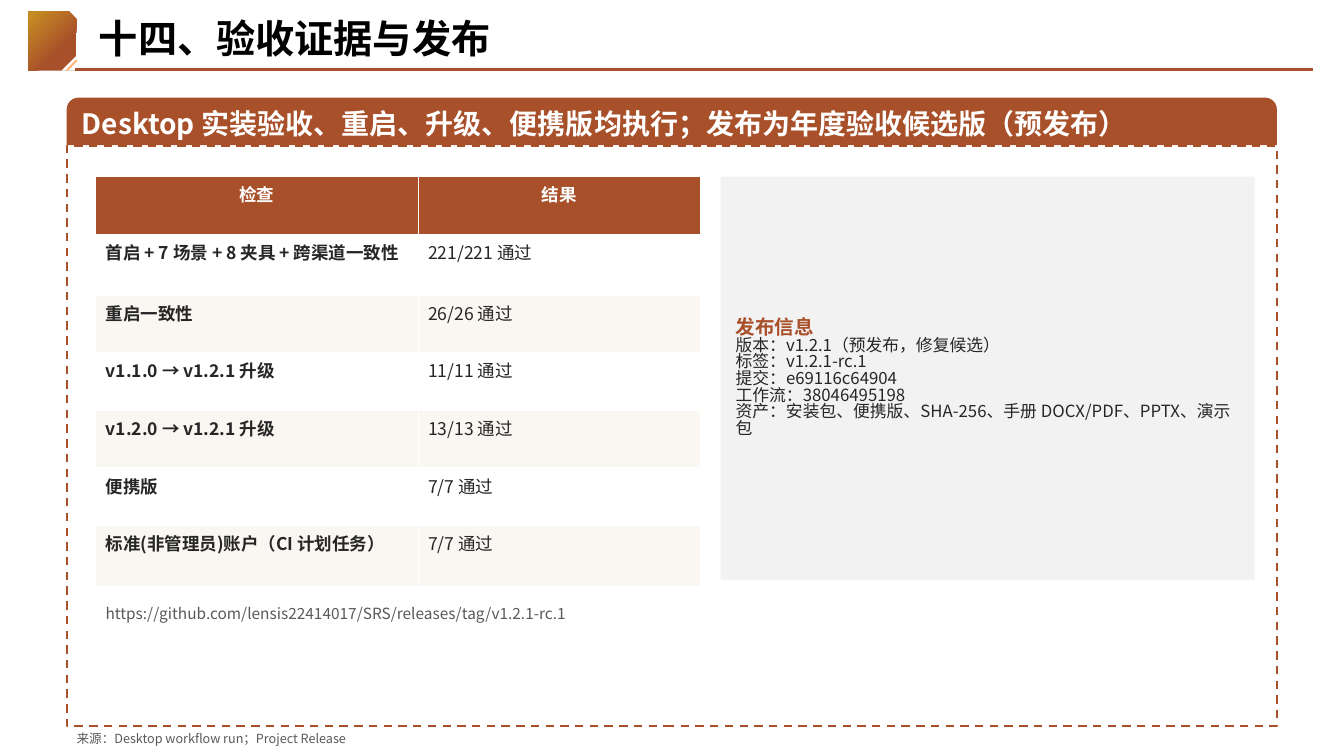
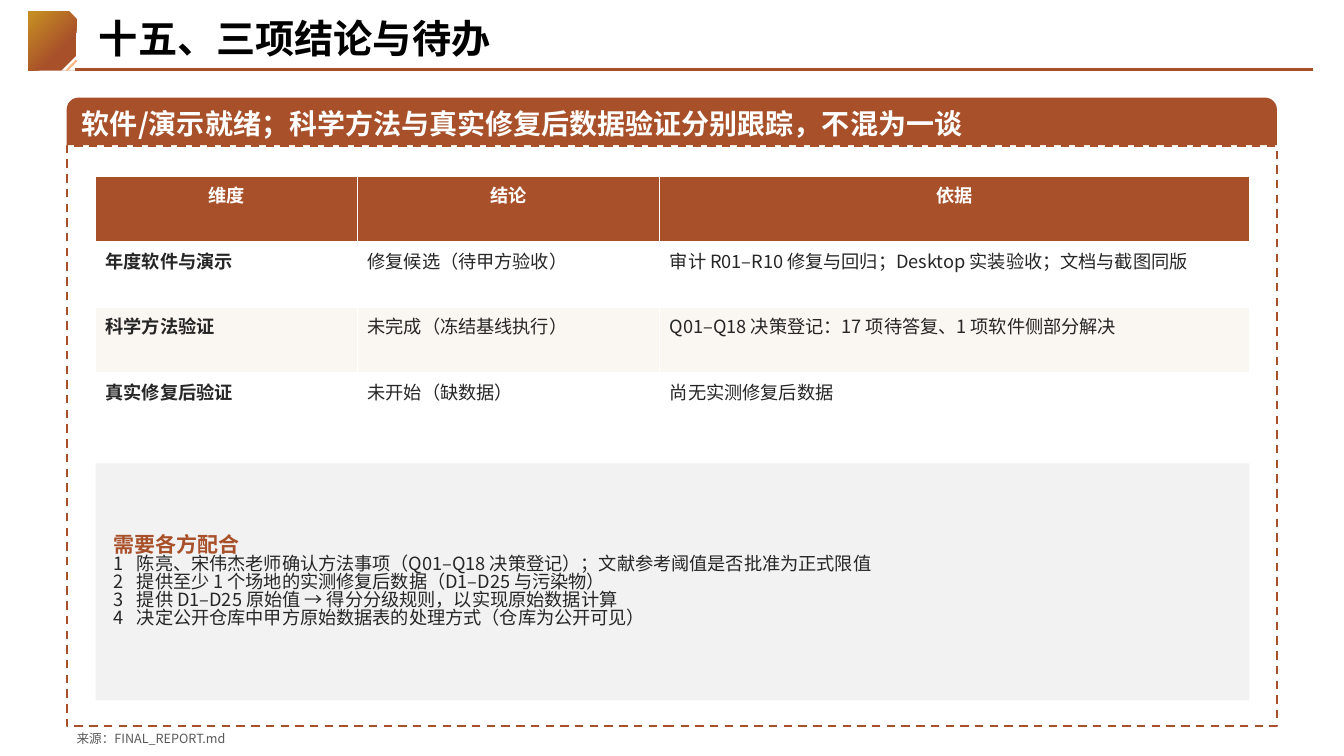
from dataclasses import dataclass

from lxml.etree import SubElement as Sub
from pptx import Presentation
from pptx.dml.color import RGBColor
from pptx.enum.dml import MSO_LINE as Dash
from pptx.enum.shapes import MSO_CONNECTOR as Link, MSO_SHAPE as Geo
from pptx.enum.text import MSO_ANCHOR as Anchor, MSO_AUTO_SIZE as Fit, PP_ALIGN as Align
from pptx.oxml.ns import qn
from pptx.util import Cm, Pt

FONT = "Noto Sans CJK SC"
RUST, GOLD, PEACH = "A8502A", "C58C23", "FFB57D"
WHITE, CREAM, PALE = "FFFFFF", "FAF6F1", "F2F2F2"
BLACK, INK, GRAY = "000000", "262626", "595959"
LEFT, TOP = 2.41, 4.45


@dataclass(frozen=True)
class Box:
    left: float
    top: float
    width: float
    height: float

    def spans(self) -> tuple:
        return Cm(self.left), Cm(self.top), Cm(self.width), Cm(self.height)


@dataclass(frozen=True)
class Grid:
    cols: tuple[float, ...]
    height: float
    size: float
    rows: tuple[tuple[str, ...], ...]


@dataclass(frozen=True)
class Panel:
    box: Box
    inset: float
    size: float
    head: str
    lines: tuple[str, ...]
    numbered: bool = False


@dataclass(frozen=True)
class Page:
    title: str
    claim: str
    source: str
    grid: Grid
    panel: Panel
    url: str = ""


def color(code: str) -> RGBColor:
    return RGBColor.from_string(code)


def apply(item, **values) -> None:
    for name, value in values.items():
        setattr(item, name, value)


def write(para, text: str, size: float, code: str, bold: bool = False) -> None:
    run = para.add_run()
    run.text = text
    apply(run.font, name=FONT, size=Pt(size), bold=bold)
    run.font.color.rgb = color(code)
    Sub(run._r.get_or_add_rPr(), qn("a:ea"), typeface=FONT)


def number(para, hang: float = 0.58) -> None:
    """Number the paragraph automatically, with a hanging indent in cm."""
    props = para._p.get_or_add_pPr()
    props.set("marL", str(Cm(hang)))
    props.set("indent", str(-Cm(hang)))
    Sub(props, qn("a:buAutoNum"), type="arabicPlain")


def shape(slide, geo: Geo, box: Box, fill: str = ""):
    item = slide.shapes.add_shape(geo, *box.spans())
    item.shadow.inherit = False
    item.line.fill.background()
    if fill:
        item.fill.solid()
        item.fill.fore_color.rgb = color(fill)
    else:
        item.fill.background()
    return item


def pad(item, inset: float):
    """Set equal insets and middle anchoring, and return the text frame."""
    frame = item.text_frame
    apply(frame, word_wrap=True, vertical_anchor=Anchor.MIDDLE)
    sides = ("left", "top", "right", "bottom")
    apply(frame, **{f"margin_{side}": Cm(inset) for side in sides})
    return frame


def rule(slide, start: tuple[float, float], end: tuple[float, float], code: str) -> None:
    line = slide.shapes.add_connector(Link.STRAIGHT, *map(Cm, start + end))
    line.line.color.rgb = color(code)
    line.line.width = Pt(1.5)
    Sub(line._element.spPr, qn("a:effectLst"))


def label(slide, box: Box, text: str, size: float) -> None:
    frame = slide.shapes.add_textbox(*box.spans()).text_frame
    frame.word_wrap = True
    write(frame.paragraphs[0], text, size, GRAY)


def badge(slide) -> None:
    tile = shape(slide, Geo.SNIP_1_RECTANGLE, Box(0.71, 0.28, 1.22, 1.5))
    tile.fill.gradient()
    tile.fill.gradient_angle = 135
    for stop, place, code in zip(tile.fill.gradient_stops, (0.33, 0.94), (RUST, GOLD)):
        stop.position = place
        stop.color.rgb = color(code)
    fold = shape(slide, Geo.RIGHT_TRIANGLE, Box(1.55, 1.4, 0.38, 0.38), WHITE)
    fold.rotation = 270
    rule(slide, (1.68, 1.78), (1.93, 1.52), PEACH)
    rule(slide, (1.9, 1.75), (33.1, 1.75), RUST)


def header(slide, text: str) -> None:
    title = slide.shapes.title
    spots = ("left", "top", "width", "height")
    apply(title, **dict(zip(spots, Box(2.24, 0.23, 30.6, 1.52).spans())))
    frame = title.text_frame
    apply(frame, auto_size=Fit.NONE, word_wrap=True, vertical_anchor=Anchor.TOP)
    frame.paragraphs[0].alignment = Align.LEFT
    write(frame.paragraphs[0], text, 28, BLACK, True)


def banner(slide, claim: str) -> None:
    """Draw the dashed frame and the claim band on top of it."""
    edge = shape(slide, Geo.RECTANGLE, Box(1.68, 3.68, 30.5, 14.61)).line
    edge.color.rgb = color(RUST)
    apply(edge, width=Pt(1.5), dash_style=Dash.DASH)
    band = shape(slide, Geo.ROUND_2_SAME_RECTANGLE, Box(1.68, 2.46, 30.5, 1.2), RUST)
    band.adjustments[0], band.adjustments[1] = 0.25, 0
    para = pad(band, 0.3).paragraphs[0]
    para.alignment = Align.LEFT
    write(para, claim, 20, WHITE, True)


def border(cell) -> None:
    props = cell._tc.get_or_add_tcPr()
    for side in ("lnL", "lnR", "lnT", "lnB"):
        line = Sub(props, qn(f"a:{side}"), w=str(Pt(1)))
        Sub(Sub(line, qn("a:solidFill")), qn("a:srgbClr"), val=WHITE)


def table(slide, grid: Grid) -> None:
    box = Box(LEFT, TOP, sum(grid.cols), grid.height)
    count = len(grid.rows)
    tab = slide.shapes.add_table(count, len(grid.cols), *box.spans()).table
    tab.horz_banding = False
    for col, width in zip(tab.columns, grid.cols):
        col.width = Cm(width)
    for r, row in enumerate(grid.rows):
        tab.rows[r].height = Cm(grid.height / count)
        fill = RUST if r == 0 else WHITE if r % 2 else CREAM
        for c, text in enumerate(row):
            cell = tab.cell(r, c)
            border(cell)
            cell.fill.solid()
            cell.fill.fore_color.rgb = color(fill)
            para = cell.text_frame.paragraphs[0]
            para.alignment = Align.LEFT if r else Align.CENTER
            write(para, text, grid.size, INK if r else WHITE, r == 0 or c == 0)


def notice(slide, panel: Panel) -> None:
    frame = pad(shape(slide, Geo.RECTANGLE, panel.box, PALE), panel.inset)
    for i, text in enumerate((panel.head, *panel.lines)):
        para = frame.add_paragraph() if i else frame.paragraphs[0]
        apply(para, alignment=Align.LEFT, line_spacing=0.82)
        if i and panel.numbered:
            number(para)
        write(para, text, panel.size if i else panel.size + 2,
              INK if i else RUST, i == 0)


PAGES = (
    Page(
        "十四、验收证据与发布",
        "Desktop 实装验收、重启、升级、便携版均执行；发布为年度验收候选版（预发布）",
        "来源：Desktop workflow run；Project Release",
        Grid((8.13, 7.11), 10.16, 12.5, (
            ("检查", "结果"),
            ("首启 + 7 场景 + 8 夹具 + 跨渠道一致性", "221/221 通过"),
            ("重启一致性", "26/26 通过"),
            ("v1.1.0 → v1.2.1 升级", "11/11 通过"),
            ("v1.2.0 → v1.2.1 升级", "13/13 通过"),
            ("便携版", "7/7 通过"),
            ("标准(非管理员)账户（CI 计划任务）", "7/7 通过"),
        )),
        Panel(Box(18.16, TOP, 13.46, 10.16), 0.38, 12, "发布信息", (
            "版本：v1.2.1（预发布，修复候选）",
            "标签：v1.2.1-rc.1",
            "提交：e69116c64904",
            "工作流：38046495198",
            "资产：安装包、便携版、SHA-256、手册 DOCX/PDF、PPTX、演示包",
        )),
        "https://github.com/lensis22414017/SRS/releases/tag/v1.2.1-rc.1",
    ),
    Page(
        "十五、三项结论与待办",
        "软件/演示就绪；科学方法与真实修复后数据验证分别跟踪，不混为一谈",
        "来源：FINAL_REPORT.md",
        Grid((6.6, 7.62, 14.86), 6.6, 13, (
            ("维度", "结论", "依据"),
            ("年度软件与演示", "修复候选（待甲方验收）",
             "审计 R01–R10 修复与回归；Desktop 实装验收；文档与截图同版"),
            ("科学方法验证", "未完成（冻结基线执行）",
             "Q01–Q18 决策登记：17 项待答复、1 项软件侧部分解决"),
            ("真实修复后验证", "未开始（缺数据）", "尚无实测修复后数据"),
        )),
        Panel(Box(LEFT, 11.68, 29.08, 5.97), 0.46, 13, "需要各方配合", (
            "陈亮、宋伟杰老师确认方法事项（Q01–Q18 决策登记）；文献参考阈值是否批准为正式限值",
            "提供至少 1 个场地的实测修复后数据（D1–D25 与污染物）",
            "提供 D1–D25 原始值 → 得分分级规则，以实现原始数据计算",
            "决定公开仓库中甲方原始数据表的处理方式（仓库为公开可见）",
        ), numbered=True),
    ),
)


def draw(deck, page: Page) -> None:
    slide = deck.slides.add_slide(deck.slide_layouts.get_by_name("Title Only"))
    header(slide, page.title)
    badge(slide)
    banner(slide, page.claim)
    table(slide, page.grid)
    notice(slide, page.panel)
    if page.url:
        label(slide, Box(LEFT, 15.11, 29.21, 2.29), page.url, 11)
    label(slide, Box(1.68, 18.29, 30.48, 0.71), page.source, 9)


def main() -> None:
    deck = Presentation()
    apply(deck, slide_width=Cm(33.87), slide_height=Cm(19.05))
    for page in PAGES:
        draw(deck, page)
    deck.save("out.pptx")


if __name__ == "__main__":
    main()
